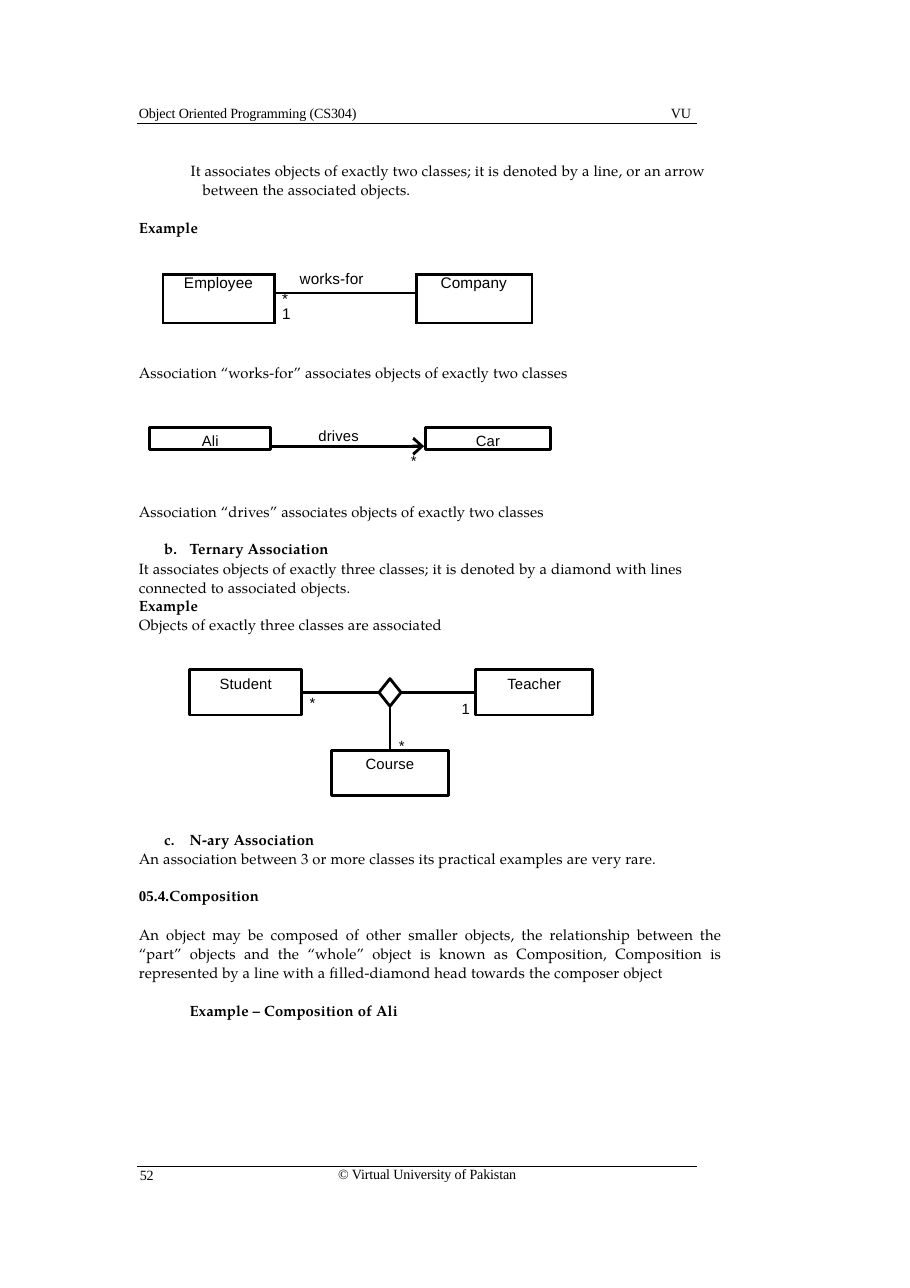
from lxml.etree import SubElement
from pptx import Presentation
from pptx.dml.color import RGBColor
from pptx.enum.shapes import MSO_CONNECTOR as Connector, MSO_SHAPE as Shape
from pptx.enum.text import MSO_ANCHOR as Anchor, PP_ALIGN as Align
from pptx.oxml.ns import qn
from pptx.util import Inches, Pt

COLORS = {"ink": "000000"}
BODY, PAGE, LABEL = "TeX Gyre Pagella", "Times New Roman", "Arial"
BODY_SIZE, PAGE_SIZE, CELL_SIZE = 9.7, 9.2, 10
FRAME, RULE = 1.88, 0.66
LEFT, BLANK_LINE = 1.25, 13


def ink():
    return RGBColor.from_string(COLORS["ink"])


def format_run(run, font=BODY, size=BODY_SIZE, bold=False, tracking=0.1):
    run.font.name = font
    run.font.size = Pt(size)
    run.font.bold = bold
    run.font.color.rgb = ink()
    run._r.get_or_add_rPr().set("spc", str(round(tracking * 100)))


def set_indent(paragraph, left, first=0):
    properties = paragraph._p.get_or_add_pPr()
    properties.set("marL", str(Inches(left)))
    properties.set("indent", str(Inches(first)))


def clear_margins(frame):
    frame.margin_left = frame.margin_right = 0
    frame.margin_top = frame.margin_bottom = 0


def add_frame(slide, left, top, width, height, wrap=True):
    box = slide.shapes.add_textbox(Inches(left), Inches(top), Inches(width), Inches(height))
    clear_margins(box.text_frame)
    box.text_frame.word_wrap = wrap
    return box.text_frame


def add_label(slide, text, left, top, width, **style):
    frame = add_frame(slide, left, top, width, 0.16, wrap=False)
    frame.text = text
    format_run(frame.paragraphs[0].runs[0], **style)


def add_passage(slide, top, height, items):
    """Each item is a text and its options: before, left, first, spacing, align, bold, lead."""
    frame = add_frame(slide, LEFT, top, 5.31, height)
    for index, (text, options) in enumerate(items):
        paragraph = frame.add_paragraph() if index else frame.paragraphs[0]
        set_indent(paragraph, options.get("left", 0.01), options.get("first", 0))
        paragraph.space_before = Pt(options.get("before", 0))
        paragraph.line_spacing = options.get("spacing", 1.0)
        paragraph.alignment = options.get("align", Align.LEFT)
        bold = options.get("bold", False)
        if "lead" in options:
            lead = paragraph.add_run()
            lead.text = options["lead"]
            format_run(lead, font=PAGE, bold=bold)
        run = paragraph.add_run()
        run.text = text
        format_run(run, bold=bold)


def add_outline(slide, kind, left, top, width, height):
    shape = slide.shapes.add_shape(kind, Inches(left), Inches(top), Inches(width), Inches(height))
    shape.shadow.inherit = False
    shape.fill.background()
    shape.line.color.rgb = ink()
    shape.line.width = Pt(FRAME)
    return shape


def add_class_box(slide, name, left, top, width, height):
    box = add_outline(slide, Shape.RECTANGLE, left, top, width, height)
    frame = box.text_frame
    clear_margins(frame)
    frame.margin_top = Inches(0.04)
    frame.vertical_anchor = Anchor.TOP
    frame.text = name
    frame.paragraphs[0].alignment = Align.CENTER
    format_run(frame.paragraphs[0].runs[0], font=LABEL)
    return box


def add_line(slide, start=(0, 0), end=(0, 0), weight=FRAME):
    points = [Inches(value) for value in (*start, *end)]
    line = slide.shapes.add_connector(Connector.STRAIGHT, *points)
    line.line.color.rgb = ink()
    line.line.width = Pt(weight)
    SubElement(line._element.spPr, qn("a:effectLst"))
    return line


def join(slide, source, source_side, target, target_side):
    line = add_line(slide)
    line.begin_connect(source, source_side)
    line.end_connect(target, target_side)


def add_arrow(slide, start, end):
    arrow = add_line(slide, start, end, weight=2.2)
    SubElement(arrow.line._get_or_add_ln(), qn("a:tailEnd"), type="arrow", w="lg", len="med")


def set_borders(cell, sides):
    """Draw the named sides (from L, R, T, B) and clear the others."""
    properties = cell._tc.get_or_add_tcPr()
    for side in "LRTB":
        border = SubElement(properties, qn(f"a:ln{side}"), w=str(Pt(FRAME)))
        if side in sides:
            fill = SubElement(border, qn("a:solidFill"))
            SubElement(fill, qn("a:srgbClr"), val=COLORS["ink"])
        else:
            SubElement(border, qn("a:noFill"))
    cell.fill.background()


def fill_cell(cell, lines, indent, spacing=None):
    cell.text_frame.text = "\n".join(lines)
    for paragraph in cell.text_frame.paragraphs:
        set_indent(paragraph, indent)
        if spacing:
            paragraph.line_spacing = Pt(spacing)
        format_run(paragraph.runs[0], font=LABEL, size=CELL_SIZE)


def add_works_for_table(slide):
    widths, heights = (1.01, 1.29, 1.05), (0.17, 0.27)
    table = slide.shapes.add_table(2, 3, Inches(1.48), Inches(2.49),
                                   Inches(sum(widths)), Inches(sum(heights))).table
    table.first_row = table.horz_banding = False
    for column, width in zip(table.columns, widths):
        column.width = Inches(width)
    for row, height in zip(table.rows, heights):
        row.height = Inches(height)
    for row, middle_sides in enumerate(("LRB", "LRT")):
        for column, sides in enumerate(("LRTB", middle_sides, "LRTB")):
            cell = table.cell(row, column)
            cell.margin_left = cell.margin_right = 0
            cell.margin_top = cell.margin_bottom = 0
            set_borders(cell, sides)
    for column in (0, 2):
        table.cell(0, column).merge(table.cell(1, column))
    fill_cell(table.cell(0, 0), ["Employee"], 0.19)
    fill_cell(table.cell(0, 1), ["works-for"], 0.23, 9)
    fill_cell(table.cell(0, 2), ["Company"], 0.22)
    fill_cell(table.cell(1, 1), ["*", "1"], 0.07, 9.8)


def add_drives_diagram(slide):
    add_class_box(slide, "Ali", 1.36, 3.88, 1.1, 0.2)
    add_class_box(slide, "Car", 3.86, 3.88, 1.14, 0.2)
    add_arrow(slide, (2.45, 4.05), (3.85, 4.05))
    add_label(slide, "drives", 2.89, 3.87, 0.4, font=LABEL)
    add_label(slide, "*", 3.73, 4.1, 0.08, font=LABEL)


def add_ternary_diagram(slide):
    student = add_class_box(slide, "Student", 1.72, 6.08, 1.02, 0.41)
    teacher = add_class_box(slide, "Teacher", 4.32, 6.08, 1.06, 0.41)
    course = add_class_box(slide, "Course", 3.01, 6.81, 1.06, 0.41)
    diamond = add_outline(slide, Shape.DIAMOND, 3.44, 6.16, 0.2, 0.25)
    join(slide, student, 3, diamond, 1)
    join(slide, diamond, 3, teacher, 1)
    join(slide, diamond, 2, course, 0)
    for text, left, top in (("*", 2.81, 6.3), ("1", 4.19, 6.35), ("*", 3.62, 6.69)):
        add_label(slide, text, left, top, 0.1, font=LABEL)


def add_page_frame(slide):
    for y in (1.12, 10.59):
        add_line(slide, (1.24, y), (6.33, y), weight=RULE)
    for text, left, top, width in (
        ("Object Oriented Programming (CS304)", 1.26, 0.95, 2.03),
        ("VU", 6.09, 0.95, 0.21),
        ("© Virtual University of Pakistan", 3.07, 10.58, 1.68),
        ("52", 1.27, 10.59, 0.16),
    ):
        add_label(slide, text, left, top, width, font=PAGE, size=PAGE_SIZE, tracking=-0.1)


def add_passages(slide):
    numbered = {"left": 0.47, "first": -0.23, "bold": True}
    add_passage(slide, 1.46, 0.69, [
        ("It associates objects of exactly two classes; it is denoted by a line, or an arrow "
         "between the associated objects.", {"left": 0.59, "first": -0.11, "spacing": 1.07}),
        ("Example", {"bold": True, "before": BLANK_LINE}),
    ])
    add_passage(slide, 3.3, 0.16, [
        ("Association “works-for” associates objects of exactly two classes", {})])
    add_passage(slide, 4.56, 1.19, [
        ("Association “drives” associates objects of exactly two classes", {}),
        ("b.\tTernary Association", {**numbered, "before": BLANK_LINE}),
        ("It associates objects of exactly three classes; it is denoted by a diamond with lines "
         "connected to associated objects.", {"spacing": Pt(12.4), "before": 0.4}),
        ("Example", {"bold": True, "before": 0.1}),
        ("Objects of exactly three classes are associated", {"before": 0.6}),
    ])
    add_passage(slide, 7.54, 1.73, [
        ("c.\tN-ary Association", numbered),
        ("An association between 3 or more classes its practical examples are very rare.",
         {"align": Align.JUSTIFY, "before": 0.6}),
        ("Composition", {"lead": "05.4.", "bold": True, "before": BLANK_LINE}),
        ("An object may be composed of other smaller objects, the relationship between the "
         "“part” objects and the “whole” object is known as Composition, Composition is "
         "represented by a line with a filled-diamond head towards the composer object",
         {"align": Align.JUSTIFY, "spacing": 1.07, "before": BLANK_LINE}),
        ("Example – Composition of Ali", {"left": 0.47, "bold": True, "before": BLANK_LINE}),
    ])


def main():
    presentation = Presentation()
    presentation.slide_width, presentation.slide_height = Inches(8.26), Inches(11.69)
    slide = presentation.slides.add_slide(presentation.slide_layouts[6])
    for add_part in (add_page_frame, add_passages, add_works_for_table,
                     add_drives_diagram, add_ternary_diagram):
        add_part(slide)
    presentation.save("out.pptx")


if __name__ == "__main__":
    main()
